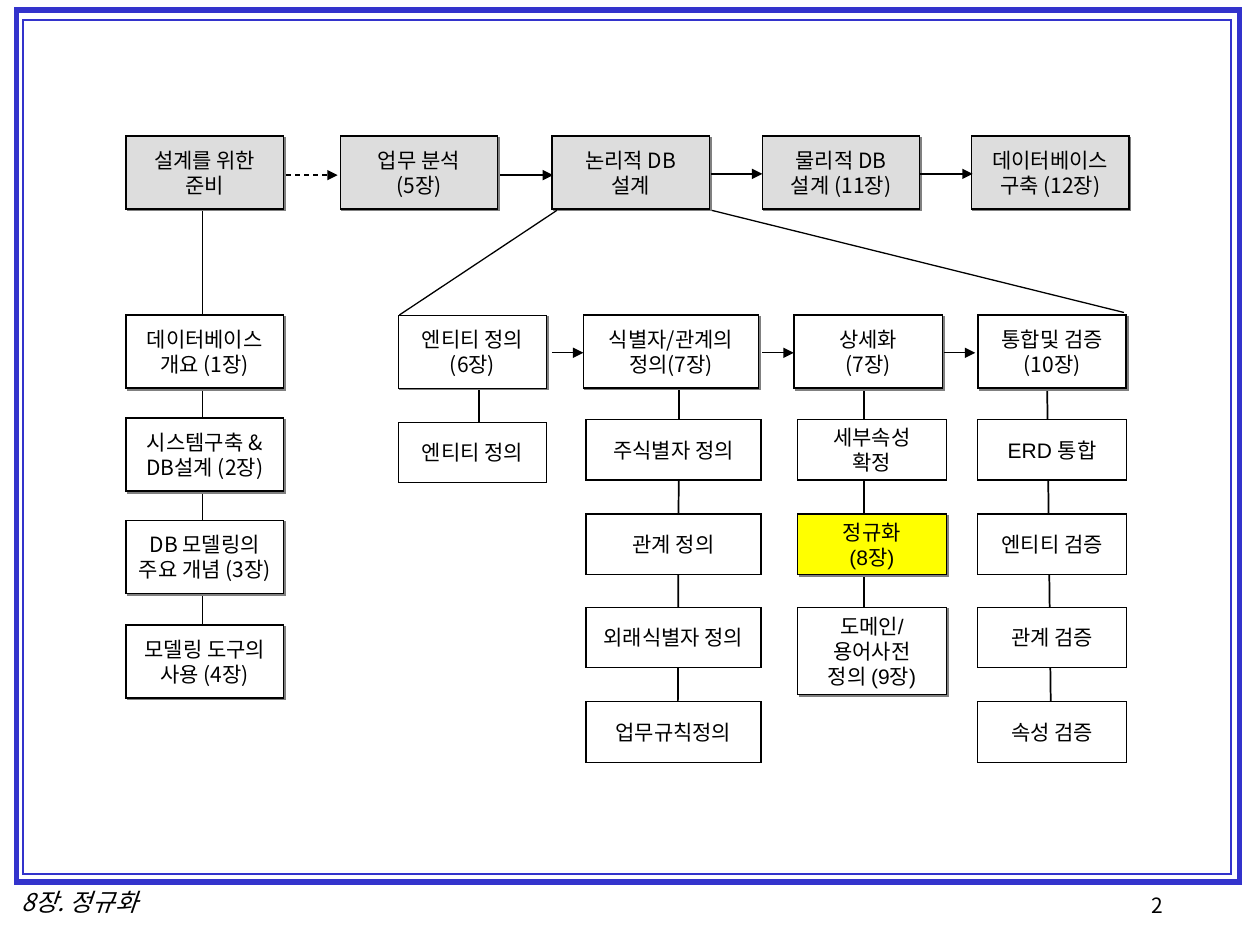
import pptx
import pptx.dml.color
import pptx.enum.dml
import pptx.enum.shapes
import pptx.enum.text
import pptx.oxml
import pptx.oxml.ns
import pptx.util
from pptx.util import Inches

KOREAN, LATIN = "Noto Sans CJK KR", "Arial"
BLACK, WHITE, GRAY, YELLOW, BLUE = "000000", "FFFFFF", "DDDDDD", "FFFF00", "3333CC"
TEXT_SIZE = 12
HEAD_HEIGHT, STEP_HEIGHT, TALL_HEIGHT = 0.58, 0.48, 0.69
PHASE_TOP, STAGE_TOP = 1.08, 2.5
STEP_TOPS = [3.33, 4.08, 4.82, 5.57]
PREPARATION_TOPS = [2.5, 3.32, 4.13, 4.96]
CHAPTER_WIDTH = 1.25

# left, lines of text
PHASES = [
    (1.0, ["설계를 위한", "준비"]),
    (2.7, ["업무 분석", "(5장)"]),
    (4.38, ["논리적 DB", "설계"]),
    (6.05, ["물리적 DB", "설계 (11장)"]),
    (7.71, ["데이터베이스", "구축 (12장)"]),
]
# line weight, lines of text
PREPARATION = [
    (1, ["데이터베이스", "개요 (1장)"]),
    (1, ["시스템구축 &", "DB설계 (2장)"]),
    (0.75, ["DB 모델링의", "주요 개념 (3장)"]),
    (0.75, ["모델링 도구의", "사용 (4장)"]),
]
# left, width, line weight, heading
STAGES = [
    (3.16, 1.18, 0.5, ["엔티티 정의", "(6장)"]),
    (4.63, 1.39, 0.75, ["식별자/관계의", "정의(7장)"]),
    (6.3, 1.18, 1, ["상세화", "(7장)"]),
    (7.76, 1.18, 1, ["통합및 검증", "(10장)"]),
]
# left, shift down, line weight, steps below the stage of the same position
STEPS = [
    (3.16, 0.02, 0.5, [["엔티티 정의"]]),
    (4.65, 0, 0.75, [["주식별자 정의"], ["관계 정의"], ["외래식별자 정의"], ["업무규칙정의"]]),
    (6.33, 0, 0.75, [["세부속성", "확정"], ["정규화", "(8장)"],
                     ["도메인/", "용어사전", "정의 (9장)"]]),
    (7.76, 0, 0.75, [["ERD 통합"], ["엔티티 검증"], ["관계 검증"], ["속성 검증"]]),
]
CURRENT_STEP = "정규화"
# start, end, weight
TRUNKS = [
    ((1.61, 1.67), (1.61, 5), 0.75),
    ((3.8, 3.05), (3.8, 3.38), 1),
    ((5.39, 2.91), (5.38, 5.58), 1),
    ((6.86, 2.97), (6.86, 4.86), 1),
    ((8.31, 2.97), (8.34, 5.63), 1),
]
EXPANSION = [((4.42, 1.67), (3.17, 2.5)), ((5.65, 1.67), (8.92, 2.48))]
# start x, end x, y
ARROWS = [
    (2.27, 2.68, 1.39), (3.97, 4.39, 1.39), (5.64, 6.05, 1.38), (7.3, 7.72, 1.38),
    (4.38, 4.63, 2.8), (6.05, 6.3, 2.8), (7.49, 7.74, 2.8),
]
FRAMES = [((0.13, 0.08, 9.71, 6.92), 3), ((0.18, 0.16, 9.59, 6.78), 1)]
# place, text, size, italic
LABELS = [
    ((9.14, 7.02, 0.5, 0.33), "2", 12, False),
    ((0.17, 6.99, 1.6, 0.34), "8장. 정규화", 14, True),
]

deck = pptx.Presentation()
deck.slide_width, deck.slide_height = Inches(10), Inches(7.5)
page = deck.slides.add_slide(deck.slide_layouts[6])


def color(value):
    return pptx.dml.color.RGBColor.from_string(value)


def xml(tag, content="", attributes=""):
    return pptx.oxml.parse_xml(
        f'<a:{tag} {pptx.oxml.ns.nsdecls("a")} {attributes}>{content}</a:{tag}>')


def style_line(line, value, weight):
    line.color.rgb = color(value)
    line.width = pptx.util.Pt(weight)


def write(shape, lines, font, size=TEXT_SIZE, italic=False, align="CENTER"):
    frame = shape.text_frame
    frame.vertical_anchor = pptx.enum.text.MSO_ANCHOR.MIDDLE
    for position, line in enumerate(lines):
        para = frame.add_paragraph() if position else frame.paragraphs[0]
        para.alignment = pptx.enum.text.PP_ALIGN[align]
        span = para.add_run()
        span.text = line
        span.font.name = font
        span.font.size = pptx.util.Pt(size)
        span.font.italic = italic
        span.font.color.rgb = color(BLACK)
        span.font._element.append(xml("ea", attributes=f'typeface="{KOREAN}"'))


def add_box(place, lines=(), fill=WHITE, weight=0.75, line=BLACK,
            font=KOREAN, shadow=False):
    box = page.shapes.add_shape(pptx.enum.shapes.MSO_SHAPE.RECTANGLE, *map(Inches, place))
    box.shadow.inherit = False
    if fill:
        box.fill.solid()
        box.fill.fore_color.rgb = color(fill)
    else:
        box.fill.background()
    style_line(box.line, line, weight)
    box.line._get_or_add_ln().append(xml("miter", attributes='lim="800000"'))
    if shadow:
        effects = box._element.spPr.find(pptx.oxml.ns.qn("a:effectLst"))
        effects.append(xml("outerShdw", '<a:srgbClr val="808080"/>',
                           'dist="17780" dir="2700000" algn="ctr" rotWithShape="0"'))
    box.text_frame.word_wrap = False
    write(box, lines, font)


def add_line(start, end, weight=0.75, arrow=False, dashed=False):
    line = page.shapes.add_connector(
        pptx.enum.shapes.MSO_CONNECTOR.STRAIGHT, *map(Inches, start + end))
    style_line(line.line, BLACK, weight)
    if dashed:
        line.line.dash_style = pptx.enum.dml.MSO_LINE.DASH
    if arrow:
        line.line._get_or_add_ln().append(xml("tailEnd", attributes='type="triangle"'))
    line._element.spPr.append(xml("effectLst"))


def add_label(place, text, size, italic):
    label = page.shapes.add_textbox(*map(Inches, place))
    label.text_frame.word_wrap = True
    label.text_frame.margin_left = label.text_frame.margin_right = 0
    write(label, [text], KOREAN, size, italic, align="LEFT")


for place, weight in FRAMES:
    add_box(place, fill=None, weight=weight, line=BLUE)
for label in LABELS:
    add_label(*label)

for start, end, weight in TRUNKS:
    add_line(start, end, weight)
for left, lines in PHASES:
    add_box((left, PHASE_TOP, CHAPTER_WIDTH, HEAD_HEIGHT), lines, GRAY, shadow=True)
for top, (weight, lines) in zip(PREPARATION_TOPS, PREPARATION):
    add_box((PHASES[0][0], top, CHAPTER_WIDTH, HEAD_HEIGHT), lines, weight=weight, shadow=True)

for stage, (step_left, shift, step_weight, steps) in zip(STAGES, STEPS):
    stage_left, width, weight, heading = stage
    add_box((stage_left, STAGE_TOP, width, HEAD_HEIGHT), heading, weight=weight, shadow=True)
    for top, lines in zip(STEP_TOPS, steps):
        current, tall = lines[0] == CURRENT_STEP, len(lines) > 2
        height = TALL_HEIGHT if tall else STEP_HEIGHT
        add_box((step_left, top + shift, width, height), lines,
                YELLOW if current else WHITE, step_weight,
                font=LATIN, shadow=current or tall)

for position, (start, end, height) in enumerate(ARROWS):
    add_line((start, height), (end, height), arrow=True, dashed=position == 0)
for start, end in EXPANSION:
    add_line(start, end)

deck.save("out.pptx")
